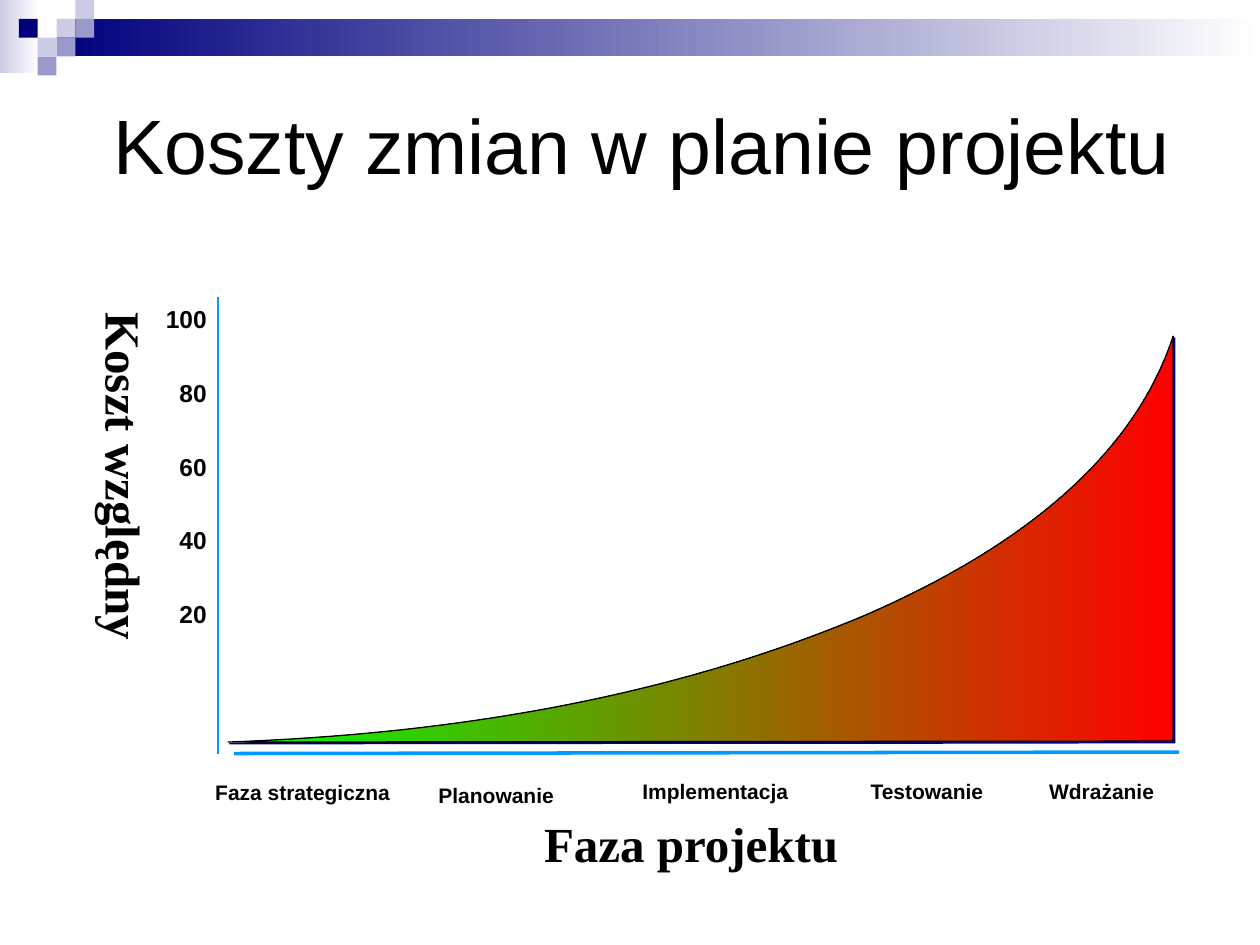
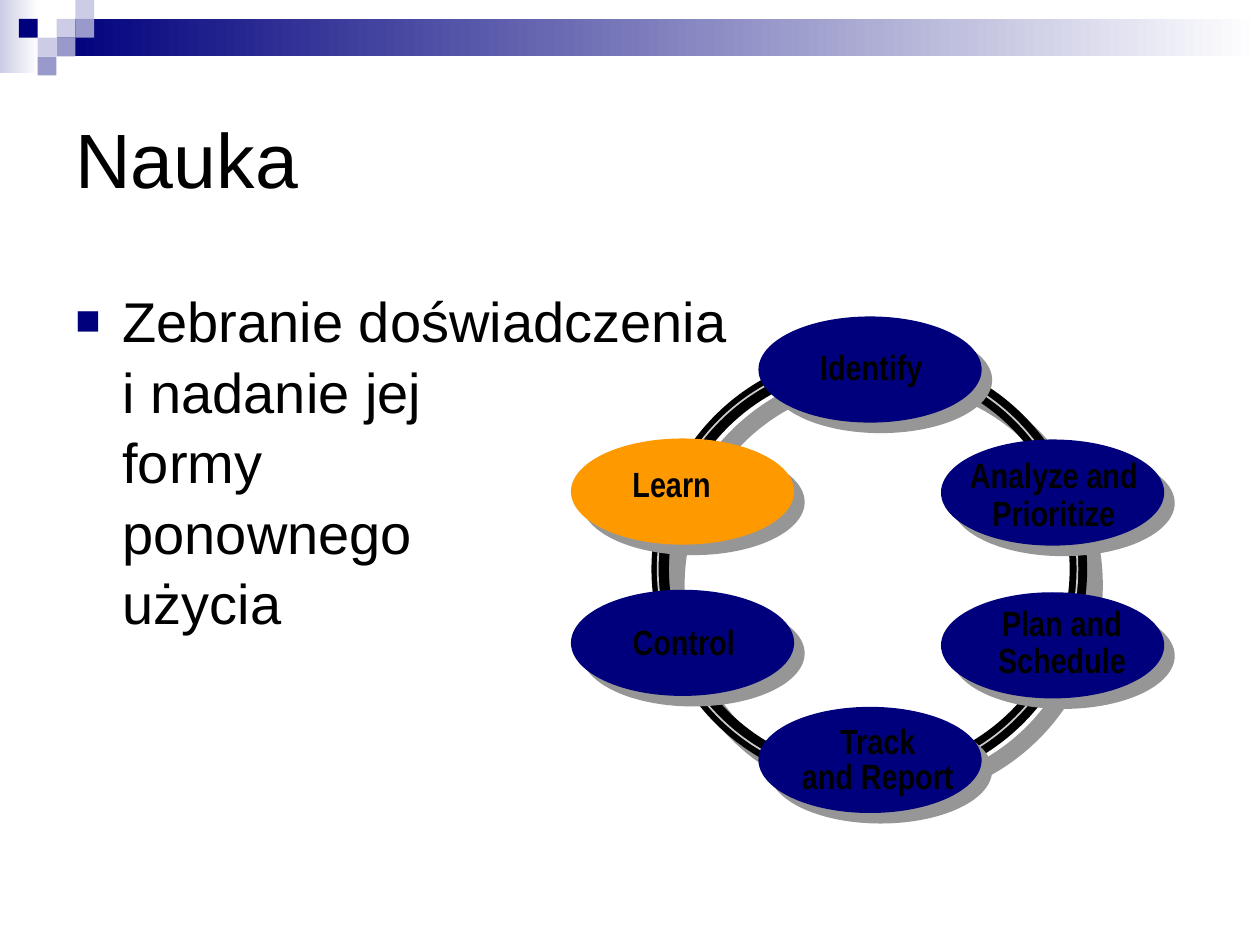
from dataclasses import dataclass

from lxml import etree
from pptx import Presentation, util as u
from pptx.dml.color import RGBColor
from pptx.enum import shapes, text
from pptx.oxml import ns

# ---- Content; all lengths are in cm: left, top, width, height ----
COST = {
    "title": ("Koszty zmian w planie projektu", (2.03, 1.9, 22.28, 2.01)),
    "y_title": ("Koszt względny", (1.57, 6.05, 1.68, 7.7)),
    "x_title": ("Faza projektu", (10.72, 16.28, 6.45, 1.45)),
    "scale": (["100", "80", "60", "40", "20"], (3.07, 5.87, 1.35, 6.81)),
    "phases": [
        ("Faza strategiczna", (4.09, 15.6, 4.04, 0.76)),
        ("Planowanie", (8.59, 15.65, 2.84, 0.76)),
        ("Implementacja", (12.7, 15.57, 3.45, 0.76)),
        ("Testowanie", (17.3, 15.57, 2.82, 0.76)),
        ("Wdrażanie", (20.9, 15.57, 2.64, 0.76)),
    ],
    "axes": [((4.72, 15.19), (23.77, 15.16), 2), ((4.39, 15.19), (4.39, 5.99), 1)],
    "corner": (23.65, 14.94),
    "curve": [
        ((4.6, 14.96), (10.19, 14.76), (14.27, 13.74), (17.45, 12.4)),
        ((17.45, 12.4), (20.62, 11.02), (22.86, 9.19), (23.65, 6.78)),
    ],
}
LEARN = {
    "title": ("Nauka", (1.27, 1.27, 22.86, 3.81)),
    "body": ("Zebranie doświadczenia\vi nadanie jej\vformy\vponownego\vużycia",
             (1.27, 5.59, 22.86, 10.8)),
    "ring": (13.31, 7.26, 8.43, 8.43),
    "ring_highlight": (13.26, 7.24, 8.46, 8.46),
    "oval": (4.5, 2.14),
    # label, oval corner, label box, line spacing
    "steps": [
        ("Identify", (15.29, 6.38), (16.28, 6.93, 2.57, 1.02), 0.9),
        ("Analyze and\vPrioritize", (18.97, 8.86), (19.3, 9.12, 3.89, 1.78), 0.9),
        ("Plan and\vSchedule", (18.97, 11.94), (19.86, 12.09, 3.1, 1.78), 0.9),
        ("Track\vand Report", (15.29, 14.25), (15.04, 14.5, 5.31, 1.7), 0.85),
        ("Control", (11.51, 11.89), (12.5, 12.52, 2.57, 0.97), 0.85),
        ("Learn", (11.51, 8.84), (12.5, 9.32, 2.08, 0.97), 0.85),
    ],
    "current": "Learn",
}


@dataclass(frozen=True)
class Theme:
    navy: str = "00007D"
    mid: str = "9999CC"
    pale: str = "CCCCE6"
    white: str = "FFFFFF"
    black: str = "000000"
    axis: str = "0099FF"
    low: str = "00FF00"
    high: str = "FF0000"
    accent: str = "FF9900"
    shade: str = "969696"
    highlight: str = "CBCBCB"


T = Theme()
FONTS = {
    "title": {"name": "Arial", "size": u.Pt(44)},
    "body": {"name": "Arial", "size": u.Pt(32)},
    "axis": {"name": "Times New Roman", "size": u.Pt(28), "bold": True},
    "scale": {"name": "Arial", "size": u.Pt(14), "bold": True},
    "phase": {"name": "Arial", "size": u.Pt(12), "bold": True},
    "step": {"name": "Arial Narrow", "size": u.Pt(20), "bold": True},
}
UNIT = 0.38  # side of one header square
SQUARES = [(3, 1, T.pale), (4, 0, T.pale), (4, 1, T.mid), (2, 2, T.pale),
           (1, 1, T.navy), (3, 2, T.mid), (2, 3, T.mid)]


def cm(values):
    return [u.Cm(v) for v in values]


def rgb(colour):
    return RGBColor.from_string(colour)


def style(sp, fill=None, line=None, shadow=None):
    """fill: colour or (left, right) gradient; line: (colour, pt); shadow: (colour, pt)."""
    if fill is None:
        sp.fill.background()
    elif isinstance(fill, tuple):
        sp.fill.gradient()
        sp.fill.gradient_angle = 0
        for stop, colour in zip(sp.fill.gradient_stops, fill):
            stop.color.rgb = rgb(colour)
    else:
        sp.fill.solid()
        sp.fill.fore_color.rgb = rgb(fill)
    if line:
        sp.line.color.rgb, sp.line.width = rgb(line[0]), u.Pt(line[1])
    else:
        sp.line.fill.background()
    sp.shadow.inherit = False
    if shadow:
        effects = sp._element.spPr.find(ns.qn("a:effectLst"))
        outer = etree.SubElement(effects, ns.qn("a:outerShdw"), dist=str(u.Pt(shadow[1])),
                                 dir="2700000", algn="ctr", rotWithShape="0")
        etree.SubElement(outer, ns.qn("a:srgbClr"), val=shadow[0])


def add_preset(s, kind, box, **look):
    style(s.shapes.add_shape(kind, *cm(box)), **look)


def add_text(s, content, box, font, wrap=False, anchor=text.MSO_ANCHOR.TOP, **layout):
    """Text box with one paragraph per item; layout holds paragraph attributes."""
    tf = s.shapes.add_textbox(*cm(box)).text_frame
    tf.word_wrap, tf.vertical_anchor = wrap, anchor
    for i, line in enumerate([content] if isinstance(content, str) else content):
        p = tf.add_paragraph() if i else tf.paragraphs[0]
        p.text = line
        for key, value in layout.items():
            if i or key != "space_before":
                setattr(p, key, value)
        for r in p.runs:
            for key, value in FONTS[font].items():
                setattr(r.font, key, value)
            r.font.color.rgb = rgb(T.black)
    return tf


def add_bullet(p):
    pPr = p._p.get_or_add_pPr()
    pPr.set("marL", str(u.Cm(0.95)))
    pPr.set("indent", str(u.Cm(-0.95)))
    colour = etree.SubElement(pPr, ns.qn("a:buClr"))
    etree.SubElement(colour, ns.qn("a:srgbClr"), val=T.navy)
    etree.SubElement(pPr, ns.qn("a:buSzPct"), val="75000")
    etree.SubElement(pPr, ns.qn("a:buFont"), typeface="Arial")
    etree.SubElement(pPr, ns.qn("a:buChar"), char="■")


def add_base_slide(prs, title):
    """Blank slide with the header band, squares and title."""
    s = prs.slides.add_slide(prs.slide_layouts[6])
    rect = shapes.MSO_SHAPE.RECTANGLE
    add_preset(s, rect, (0, 0, 0.79, 1.47), fill=(T.pale, T.white))
    add_preset(s, rect, (3 * UNIT, UNIT, 25.4 - 3 * UNIT, 2 * UNIT), fill=(T.navy, T.white))
    for col, row, colour in SQUARES:
        add_preset(s, rect, (col * UNIT, row * UNIT, UNIT, UNIT), fill=colour)
    add_text(s, *title, "title", wrap=True, anchor=text.MSO_ANCHOR.MIDDLE)
    return s


def bezier(points, steps=40):
    """Points along a cubic curve, without its first point."""
    for i in range(1, steps + 1):
        t = i / steps
        weights = ((1 - t) ** 3, 3 * t * (1 - t) ** 2, 3 * t * t * (1 - t), t ** 3)
        yield tuple(sum(w * pt[k] for w, pt in zip(weights, points)) for k in (0, 1))


def add_axis(s, start, end, width):
    line = s.shapes.add_connector(shapes.MSO_CONNECTOR.STRAIGHT, *cm(start + end))
    line.line.color.rgb, line.line.width = rgb(T.axis), u.Pt(width)
    etree.SubElement(line._element.spPr, ns.qn("a:effectLst"))


def build_cost_slide(prs):
    s = add_base_slide(prs, COST["title"])
    y_title = add_text(s, *COST["y_title"], "axis", wrap=True)
    y_title._txBody.bodyPr.set("vert", "eaVert")
    for side, inset in {"left": 0.13, "right": 0.13, "top": 0.25, "bottom": 0.25}.items():
        setattr(y_title, f"margin_{side}", u.Cm(inset))
    add_text(s, *COST["x_title"], "axis")

    outline = [COST["curve"][0][0]]
    for segment in COST["curve"]:
        outline.extend(bezier(segment))
    builder = s.shapes.build_freeform(*cm(COST["corner"]))
    builder.add_line_segments([cm(pt) for pt in outline], close=True)
    style(builder.convert_to_shape(), fill=(T.low, T.high),
          line=(T.black, 0.75), shadow=(T.navy, 1.4))

    for axis in COST["axes"]:
        add_axis(s, *axis)
    add_text(s, *COST["scale"], "scale", alignment=text.PP_ALIGN.RIGHT,
             line_spacing=1.23, space_before=u.Pt(21.5))
    for phase, box in COST["phases"]:
        add_text(s, phase, box, "phase")


def build_learn_slide(prs):
    s = add_base_slide(prs, LEARN["title"])
    body = add_text(s, *LEARN["body"], "body", wrap=True, line_spacing=1.05)
    add_bullet(body.paragraphs[0])

    oval = shapes.MSO_SHAPE.OVAL
    add_preset(s, oval, LEARN["ring"], line=(T.black, 10), shadow=(T.shade, 12.7))
    add_preset(s, oval, LEARN["ring_highlight"], line=(T.highlight, 1))
    for step, corner, _, _ in LEARN["steps"]:
        fill = T.accent if step == LEARN["current"] else T.navy
        add_preset(s, oval, corner + LEARN["oval"], fill=fill, shadow=(T.shade, 8.5))
    for step, _, box, spacing in LEARN["steps"]:
        add_text(s, step, box, "step", alignment=text.PP_ALIGN.CENTER, line_spacing=spacing)


def main():
    prs = Presentation()
    prs.slide_width, prs.slide_height = cm((25.4, 19.05))
    build_cost_slide(prs)
    build_learn_slide(prs)
    prs.save("out.pptx")


if __name__ == "__main__":
    main()
